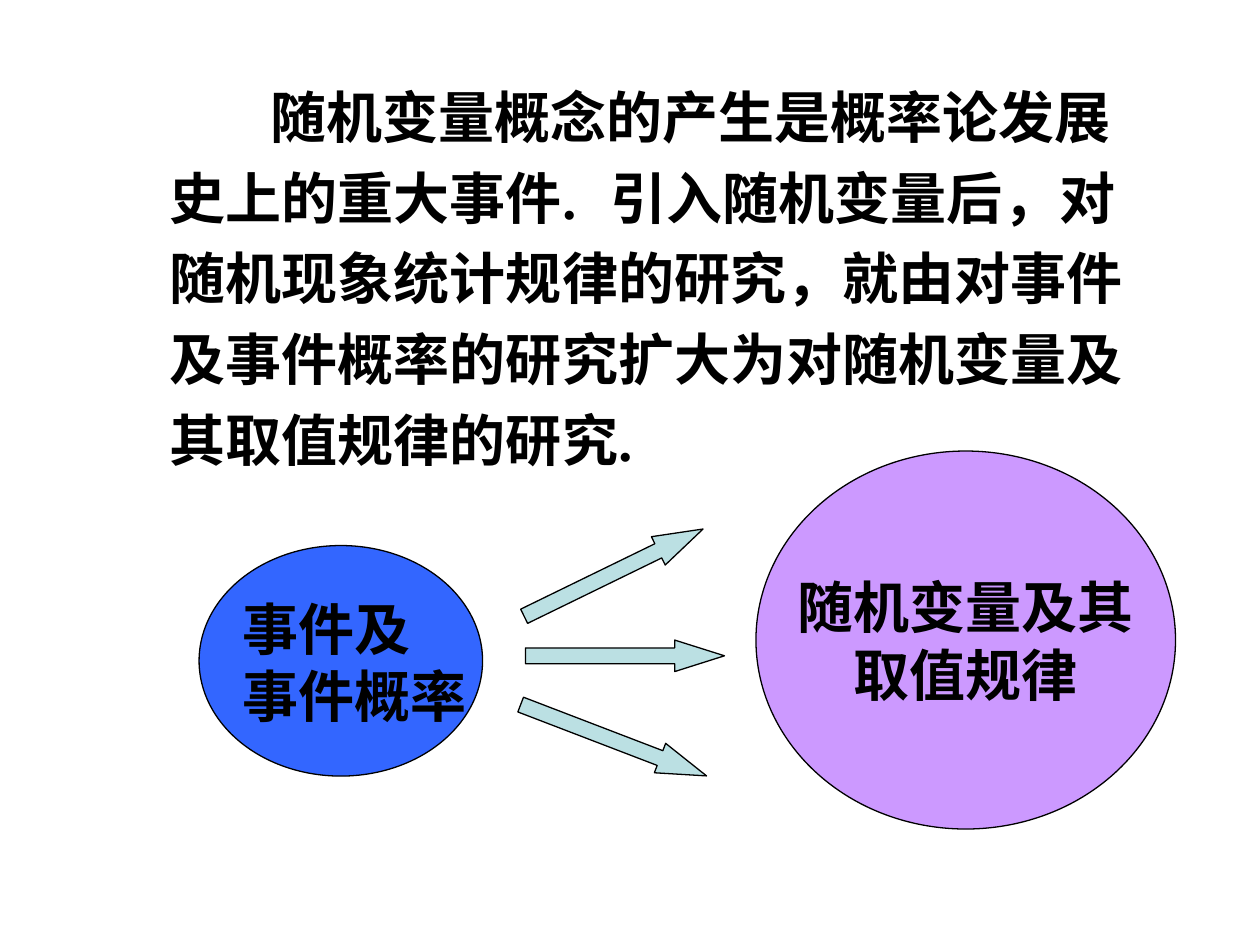
from dataclasses import dataclass

import pptx
import pptx.dml.color
import pptx.enum.shapes
import pptx.enum.text
import pptx.oxml
import pptx.oxml.ns
import pptx.util

Inches = pptx.util.Inches
RGBColor = pptx.dml.color.RGBColor
Shapes = pptx.enum.shapes.MSO_SHAPE
Alignment = pptx.enum.text.PP_ALIGN

BLACK = RGBColor(0x00, 0x00, 0x00)
BLUE = RGBColor(0x33, 0x66, 0xFF)
PURPLE = RGBColor(0xCC, 0x99, 0xFF)
PALE_TEAL = RGBColor(0xBB, 0xE0, 0xE3)


@dataclass(frozen=True)
class Box:
    left: float
    top: float
    width: float
    height: float

    def lengths(self) -> list:
        return [Inches(value) for value in (self.left, self.top, self.width, self.height)]


@dataclass(frozen=True)
class Arrow:
    left: float
    top: float
    rotation: float


ARROWS = [Arrow(4.17, 5.08, 0), Arrow(4.08, 4.42, 334), Arrow(4.08, 5.75, 21)]


def add_outlined_shape(slide, kind, box: Box, fill: RGBColor):
    shape = slide.shapes.add_shape(kind, *box.lengths())
    shape.shadow.inherit = False
    shape.fill.solid()
    shape.fill.fore_color.rgb = fill
    shape.line.color.rgb = BLACK
    shape.line.width = pptx.util.Pt(0.75)
    return shape


def add_arrow(slide, arrow: Arrow) -> None:
    box = Box(arrow.left, arrow.top, 1.58, 0.25)
    shape = add_outlined_shape(slide, Shapes.RIGHT_ARROW, box, PALE_TEAL)
    shape.adjustments[0] = 0.5
    shape.adjustments[1] = 1.58
    shape.rotation = arrow.rotation


def add_text_box(slide, box: Box, wrap: bool):
    text_box = slide.shapes.add_textbox(*box.lengths())
    text_box.text_frame.word_wrap = wrap
    text_box.text_frame.auto_size = pptx.enum.text.MSO_AUTO_SIZE.SHAPE_TO_FIT_TEXT
    return text_box


def write_lines(shape, lines: list[str], alignment=Alignment.LEFT) -> None:
    frame = shape.text_frame
    for index, line in enumerate(lines):
        paragraph = frame.add_paragraph() if index else frame.paragraphs[0]
        paragraph.alignment = alignment
        run = paragraph.add_run()
        run.text = line
        run.font.name = "Times New Roman"
        run.font.size = pptx.util.Pt(32)
        run.font.bold = True
        run.font.color.rgb = BLACK


def format_introduction(paragraph, indent: float, tab: float) -> None:
    paragraph.line_spacing = 1.2
    properties = paragraph._p.get_or_add_pPr()
    properties.set("marL", "0")
    properties.set("indent", str(Inches(indent)))
    tabs = pptx.oxml.parse_xml(
        f'<a:tabLst {pptx.oxml.ns.nsdecls("a")}><a:tab pos="{Inches(tab)}" algn="l"/></a:tabLst>'
    )
    properties.append(tabs)


def main() -> None:
    presentation = pptx.Presentation()
    presentation.slide_width = Inches(10)
    presentation.slide_height = Inches(7.5)
    slide = presentation.slides.add_slide(presentation.slide_layouts[6])

    introduction = add_text_box(slide, Box(1.25, 0.5, 8.08, 3.3), True)
    write_lines(introduction, [
        "随机变量概念的产生是概率论发展史上的重大事件.\t引入随机变量后，"
        "对随机现象统计规律的研究，就由对事件及事件概率的研究"
        "扩大为对随机变量及其取值规律的研究."
    ])
    format_introduction(introduction.text_frame.paragraphs[0], 0.8, 3.78)

    add_outlined_shape(slide, Shapes.OVAL, Box(1.58, 4.33, 2.25, 1.83), BLUE)
    event_label = add_text_box(slide, Box(1.83, 4.67, 1.98, 1.17), False)
    write_lines(event_label, ["事件及", "事件概率"])

    for arrow in ARROWS:
        add_arrow(slide, arrow)

    variable_circle = add_outlined_shape(slide, Shapes.OVAL, Box(6, 3.58, 3.33, 3), PURPLE)
    variable_circle.text_frame.word_wrap = False
    variable_circle.text_frame.vertical_anchor = pptx.enum.text.MSO_ANCHOR.MIDDLE
    write_lines(variable_circle, ["随机变量及其", "取值规律"], Alignment.CENTER)

    presentation.save("out.pptx")


if __name__ == "__main__":
    main()
